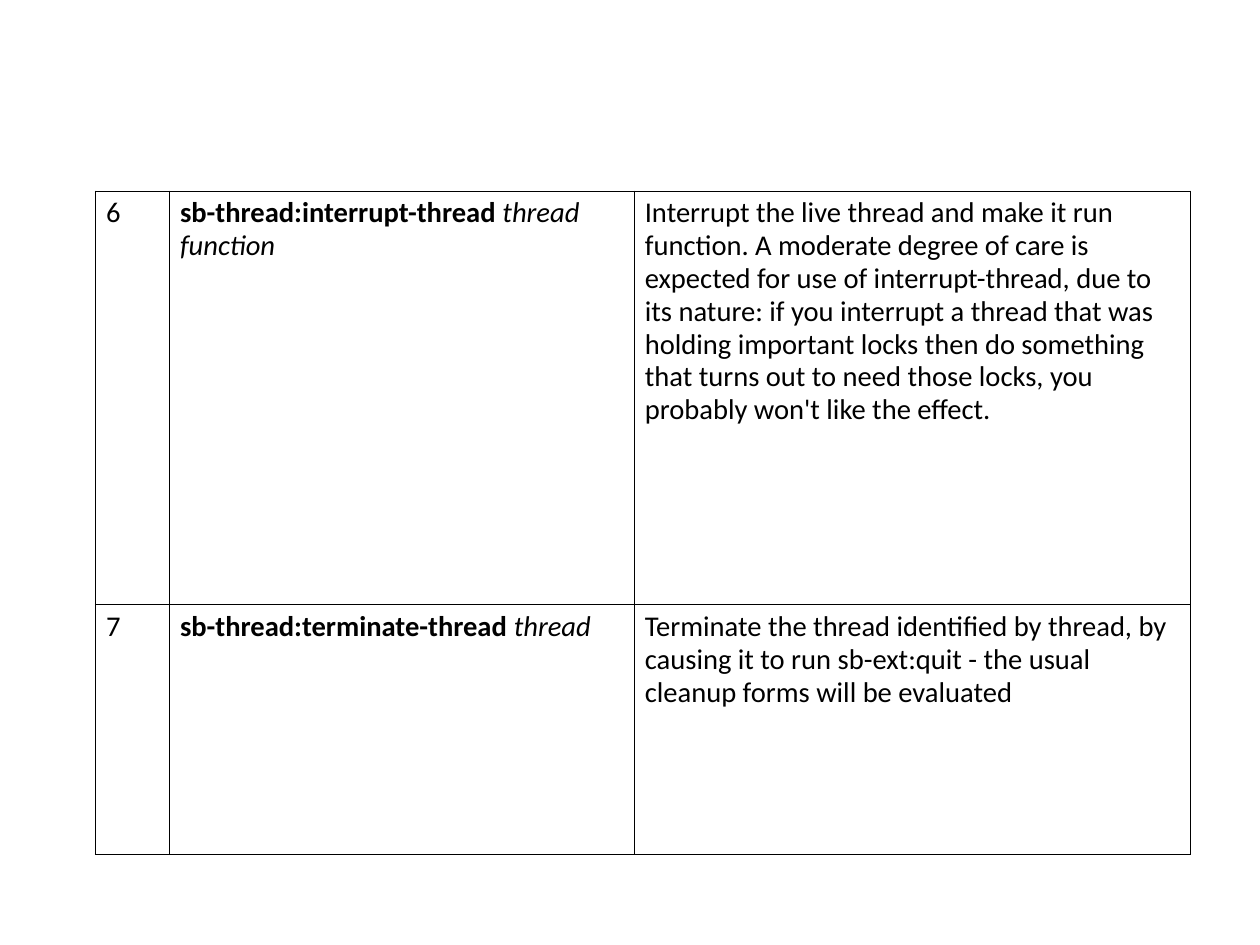
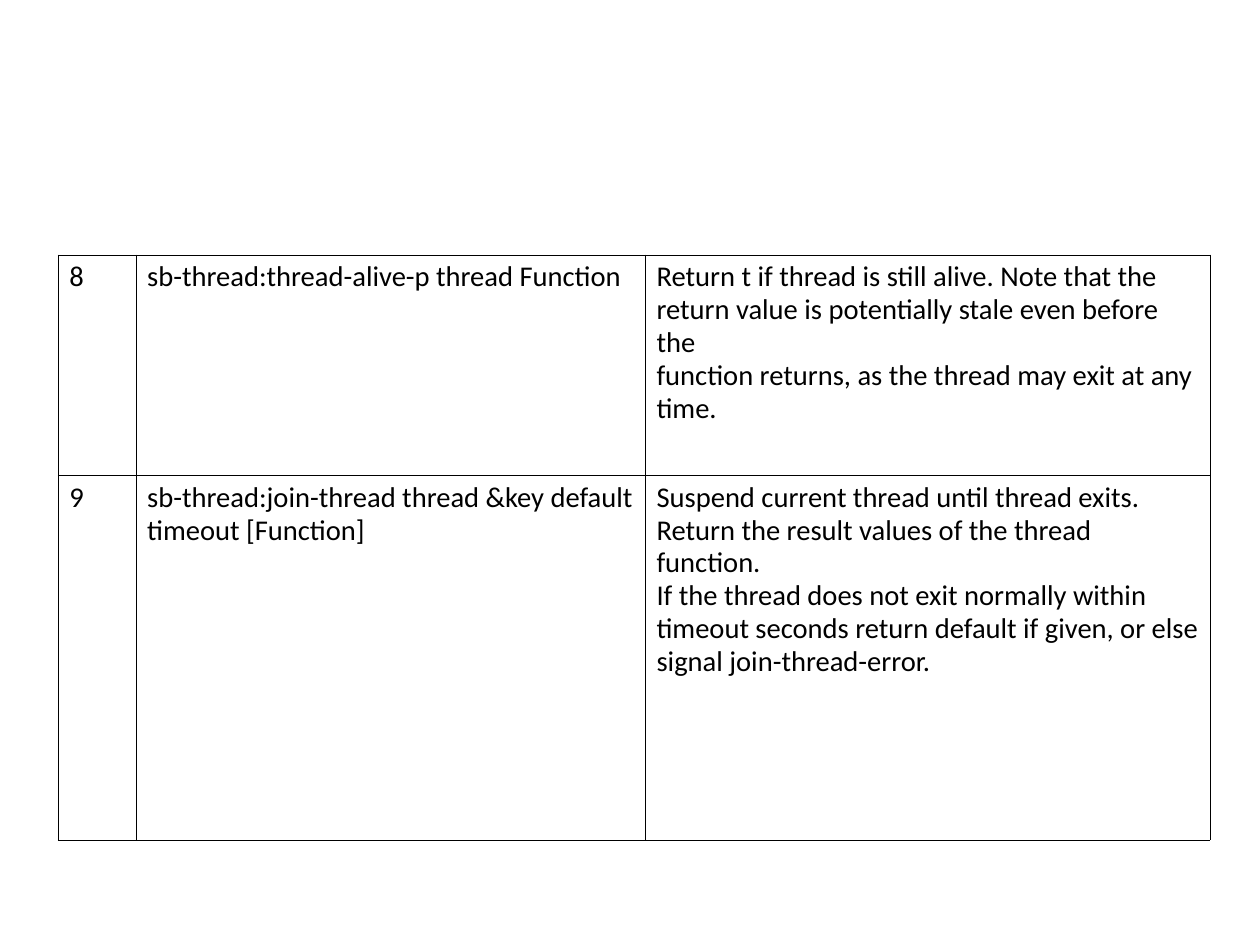
from lxml.etree import SubElement
from pptx import Presentation
from pptx.dml.color import RGBColor
from pptx.oxml.ns import qn
from pptx.util import Emu, Pt

PX = 3600  # EMU per px, 100 px to the centimetre


def px(n):
    return Emu(n * PX)


def rgb(value):
    return RGBColor.from_string(value)


def add_text(p, text, size=18, font="Calibri", color="000000", bold=False, italic=False):
    r = p.add_run()
    r.text = text
    r.font.size = Pt(size)
    r.font.name = font
    r.font.color.rgb = rgb(color)
    r.font.bold = bold
    r.font.italic = italic


class Deck:
    """Shared style and the current slide."""
    WIDTH, HEIGHT = 2800, 2100
    INK = "000000"
    BORDER = Pt(0.06)
    LINE_SPACING = 0.94
    MARGIN_X, MARGIN_Y = 25, 13

    def __init__(self):
        self.prs = Presentation()
        self.prs.slide_width = px(self.WIDTH)
        self.prs.slide_height = px(self.HEIGHT)
        self.s = None

    def slide(self):
        self.s = self.prs.slides.add_slide(self.prs.slide_layouts[6])

    def table(self, left, top, widths, heights, rows):
        frame = self.s.shapes.add_table(len(heights), len(widths), px(left), px(top),
                                        px(sum(widths)), px(sum(heights)))
        table = frame.table
        table.first_row = table.horz_banding = False
        for column, width in zip(table.columns, widths):
            column.width = px(width)
        for row, height, contents in zip(table.rows, heights, rows):
            row.height = px(height)
            for cell, paragraphs in zip(row.cells, contents):
                self.cell(cell, paragraphs)

    def cell(self, cell, paragraphs):
        cell.margin_left = cell.margin_right = px(self.MARGIN_X)
        cell.margin_top = cell.margin_bottom = px(self.MARGIN_Y)
        self.borders(cell)
        cell.fill.background()
        tf = cell.text_frame
        for i, runs in enumerate(paragraphs):
            p = tf.add_paragraph() if i else tf.paragraphs[0]
            p.line_spacing = self.LINE_SPACING
            for text, style in runs:
                add_text(p, text, color=self.INK, **style)

    def borders(self, cell):
        tc_pr = cell._tc.get_or_add_tcPr()
        for side in ("a:lnL", "a:lnR", "a:lnT", "a:lnB"):
            line = SubElement(tc_pr, qn(side), w=str(self.BORDER))
            fill = SubElement(line, qn("a:solidFill"))
            SubElement(fill, qn("a:srgbClr"), val=self.INK)


def plain(*texts):
    """A cell of unstyled paragraphs."""
    return [[(text, {})] for text in texts]


def signature(name, arguments):
    """A cell with a bold function name and italic arguments."""
    return [[(name, {"bold": True}), (" " + arguments, {"italic": True})]]


def main():
    deck = Deck()

    # Interrupting and terminating threads
    deck.slide()
    deck.table(211, 424, [164, 1033, 1236], [919, 556], [
        [plain("6"),
         signature("sb-thread:interrupt-thread", "thread function"),
         plain("Interrupt the live thread and make it run function. A moderate degree of "
               "care is expected for use of interrupt-thread, due to its nature: if you "
               "interrupt a thread that was holding important locks then do something that "
               "turns out to need those locks, you probably won't like the effect.")],
        [plain("7"),
         signature("sb-thread:terminate-thread", "thread"),
         plain("Terminate the thread identified by thread, by causing it to run "
               "sb-ext:quit - the usual cleanup forms will be evaluated")],
    ])

    # Testing and joining threads
    deck.slide()
    deck.table(129, 566, [173, 1132, 1255], [490, 810], [
        [plain("8"),
         plain("sb-thread:thread-alive-p thread Function"),
         plain("Return t if thread is still alive. Note that the return value is "
               "potentially stale even before the",
               "function returns, as the thread may exit at any time.")],
        [plain("9"),
         plain("sb-thread:join-thread thread &key default timeout [Function]"),
         plain("Suspend current thread until thread exits. Return the result values of "
               "the thread function.",
               "If the thread does not exit normally within timeout seconds return "
               "default if given, or else",
               "signal join-thread-error.")],
    ])

    deck.prs.save("out.pptx")


if __name__ == "__main__":
    main()
